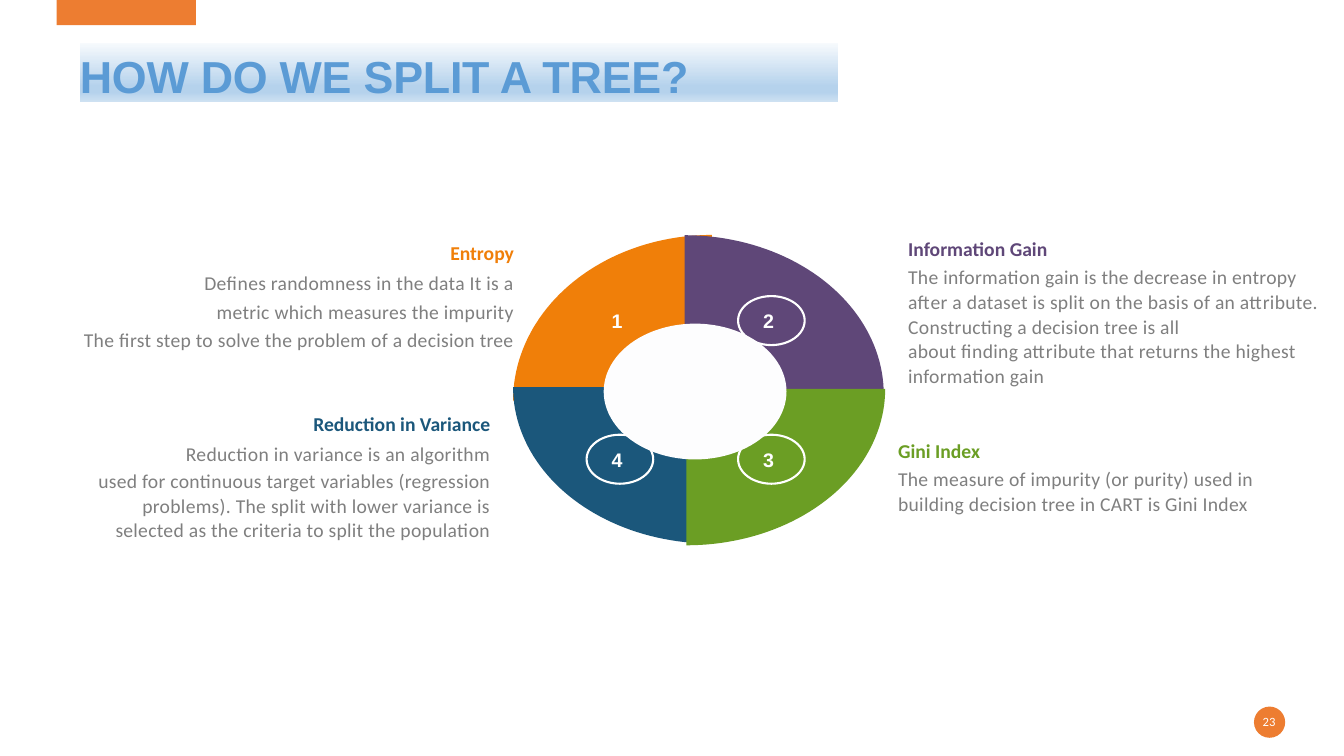
"""Build the slide on the four ways to split a decision tree."""
import math
from dataclasses import dataclass

import pptx
import pptx.dml.color
import pptx.enum.shapes
import pptx.enum.text
import pptx.oxml.ns
import pptx.util
from lxml import etree

Pt = pptx.util.Pt
RGB = pptx.dml.color.RGBColor.from_string
qn = pptx.oxml.ns.qn
ALIGN = pptx.enum.text.PP_ALIGN
ANCHOR = pptx.enum.text.MSO_ANCHOR
OVAL = pptx.enum.shapes.MSO_SHAPE.OVAL
RECTANGLE = pptx.enum.shapes.MSO_SHAPE.RECTANGLE


@dataclass(frozen=True)
class Theme:
    accent: str = "ED7D31"
    title: str = "5B9BD5"
    body: str = "7F7F7F"
    white: str = "FFFFFF"
    hole: str = "FDFDFE"
    orange: str = "F07F09"
    purple: str = "5F4778"
    green: str = "6B9E24"
    blue: str = "1B577B"
    gradient: tuple = ((0, "F7FAFD"), (74, "B5D2EC"), (83, "B5D2EC"), (100, "CEE1F2"))
    heading_font: str = "Arial"
    body_font: str = "Calibri"
    title_size: float = 32
    body_size: float = 14
    number_size: float = 9


theme = Theme()


def style(p, font, size, color, bold=False, spacing=0.0):
    """Set the font of a paragraph, with letter spacing in points."""
    p.font.name, p.font.size, p.font.bold = font, Pt(size), bold
    p.font.color.rgb = RGB(color)
    p._p.pPr.find(qn("a:defRPr")).set("spc", str(round(spacing * 100)))


def paint(sp, fill=None, line=None):
    """Give a shape a flat fill and outline without a shadow."""
    sp.shadow.inherit = False
    if fill:
        sp.fill.solid()
        sp.fill.fore_color.rgb = RGB(fill)
    else:
        sp.fill.background()
    if line:
        sp.line.color.rgb = RGB(line)
        sp.line.width = Pt(1.5)
    else:
        sp.line.fill.background()


prs = pptx.Presentation()
prs.slide_width, prs.slide_height = Pt(960), Pt(540)
s = prs.slides.add_slide(prs.slide_layouts[5])

page_dot = s.shapes.add_shape(OVAL, Pt(895.7), Pt(504.7), Pt(22.3), Pt(22.3))
paint(page_dot, theme.accent)
top_bar = s.shapes.add_shape(RECTANGLE, Pt(40.5), Pt(-1.5), Pt(99.5), Pt(19.5))
paint(top_bar, theme.accent)

title = s.shapes.title
title.left, title.top, title.width, title.height = Pt(57), Pt(30.5), Pt(541.5), Pt(42.5)
title.fill.gradient()
title.fill.gradient_angle = 270
stops = title._element.spPr.find(".//" + qn("a:gsLst"))
stops.clear()
for pos, color in theme.gradient:
    stop = etree.SubElement(stops, qn("a:gs"), pos=str(pos * 1000))
    etree.SubElement(stop, qn("a:srgbClr"), val=color)
tf = title.text_frame
tf.auto_size = pptx.enum.text.MSO_AUTO_SIZE.NONE
tf.vertical_anchor = ANCHOR.BOTTOM
tf.margin_left = tf.margin_top = tf.margin_right = tf.margin_bottom = 0
p = tf.paragraphs[0]
p.text = "HOW DO WE SPLIT A TREE?"
p.alignment, p.line_spacing = ALIGN.LEFT, Pt(43.6)
style(p, theme.heading_font, theme.title_size, theme.title, True, -0.2)

number = s.shapes.add_textbox(Pt(895), Pt(508.3), Pt(23), Pt(14.4))
tf = number.text_frame
tf.word_wrap, tf.vertical_anchor = True, ANCHOR.MIDDLE
tf.margin_left = tf.margin_top = tf.margin_right = tf.margin_bottom = 0
p = tf.paragraphs[0]
p.text, p.alignment = "23", ALIGN.CENTER
style(p, theme.body_font, theme.number_size, theme.white)

# Each paragraph: text, line spacing, space before, left margin, first indent.
notes = [
    ("Information Gain", theme.purple, ALIGN.LEFT, (648.7, 165, 305.3, 113.8), 4.3, 0, 1, [
        ("The information gain is the decrease in entropy after a dataset is split on the "
         "basis of an attribute. Constructing a decision tree is all", 1.05, 2.5, 0, 0),
        ("about finding attribute that returns the highest information gain", 1.05, 0, 0, 0)]),
    ("Entropy", theme.orange, ALIGN.RIGHT, (58.3, 168, 308.9, 84.2), 4.3, 0, 1, [
        ("Defines randomness in the data It is a metric which measures the impurity",
         1.25, 0.2, 42.5, 43.5),
        ("The first step to solve the problem of a decision tree", 1, 2.9, 0, 0)]),
    ("Gini Index", theme.green, ALIGN.LEFT, (641.5, 309, 276.5, 60.5), 4.3, 0, 1, [
        ("The measure of impurity (or purity) used in building decision tree in CART is "
         "Gini Index", 1.05, 2.5, 0, 0)]),
    ("Reduction in Variance", theme.blue, ALIGN.RIGHT, (47.5, 288.7, 308.9, 99.4), 2.9, 6, 1.14, [
        ("Reduction in variance is an algorithm used for continuous target variables "
         "(regression", 1.14, 2.6, 1.5, 75),
        ("problems). The split with lower variance is selected as the criteria to split the "
         "population", 1.05, 0, 0.7, 13)]),
]
for heading, color, align, box, inset, right, leading, paragraphs in notes:
    tf = s.shapes.add_textbox(*map(Pt, box)).text_frame
    tf.word_wrap = True
    tf.margin_left = tf.margin_right = tf.margin_bottom = 0
    tf.margin_top = Pt(inset)
    p = tf.paragraphs[0]
    p.text, p.alignment, p.line_spacing = heading, align, leading
    p._p.get_or_add_pPr().set("marR", str(Pt(right)))
    style(p, theme.body_font, theme.body_size, color, True)
    for text, leading, before, margin, indent in paragraphs:
        p = tf.add_paragraph()
        p.text, p.alignment = text, align
        p.line_spacing, p.space_before = leading, Pt(before)
        p._p.pPr.set("marL", str(Pt(margin)))
        p._p.pPr.set("indent", str(Pt(indent)))
        style(p, theme.body_font, theme.body_size, theme.body, spacing=0.2)

quarters = [
    (theme.orange, 508.5, 286.2, -142, -118.4),
    (theme.blue, 508.5, 276.5, -142, 111.8),
    (theme.purple, 489, 281.7, 142.3, -113.7),
    (theme.green, 490.3, 277.8, 142, 111.7),
]
steps = 45
for color, cx, cy, rx, ry in quarters:
    angles = [math.pi / 2 * i / steps for i in range(steps + 1)]
    arc = [(Pt(cx + rx * math.cos(a)), Pt(cy + ry * math.sin(a))) for a in angles]
    outline = s.shapes.build_freeform(Pt(cx), Pt(cy))
    outline.add_line_segments(arc, close=True)
    paint(outline.convert_to_shape(), color)

left_x, right_x, upper_y, lower_y = 419, 527.2, 211.5, 310.5
badges = [
    ("1", left_x, upper_y, theme.orange, None),
    ("2", right_x, upper_y, None, theme.white),
    ("3", right_x, lower_y, None, theme.white),
    ("4", left_x, lower_y, None, theme.white),
]
for digit, x, y, fill, line in badges:
    sp = s.shapes.add_shape(OVAL, Pt(x), Pt(y), Pt(47.6), Pt(35))
    paint(sp, fill, line)
    tf = sp.text_frame
    tf.word_wrap, tf.vertical_anchor = False, ANCHOR.MIDDLE
    tf.margin_left = tf.margin_top = tf.margin_bottom = 0
    tf.margin_right = Pt(4)
    p = tf.paragraphs[0]
    p.text, p.alignment = digit, ALIGN.CENTER
    style(p, theme.heading_font, theme.body_size, theme.white, True, 0.1)

hole = s.shapes.add_shape(OVAL, Pt(431.2), Pt(231.2), Pt(130.6), Pt(97))
paint(hole, theme.hole)

prs.save("out.pptx")
